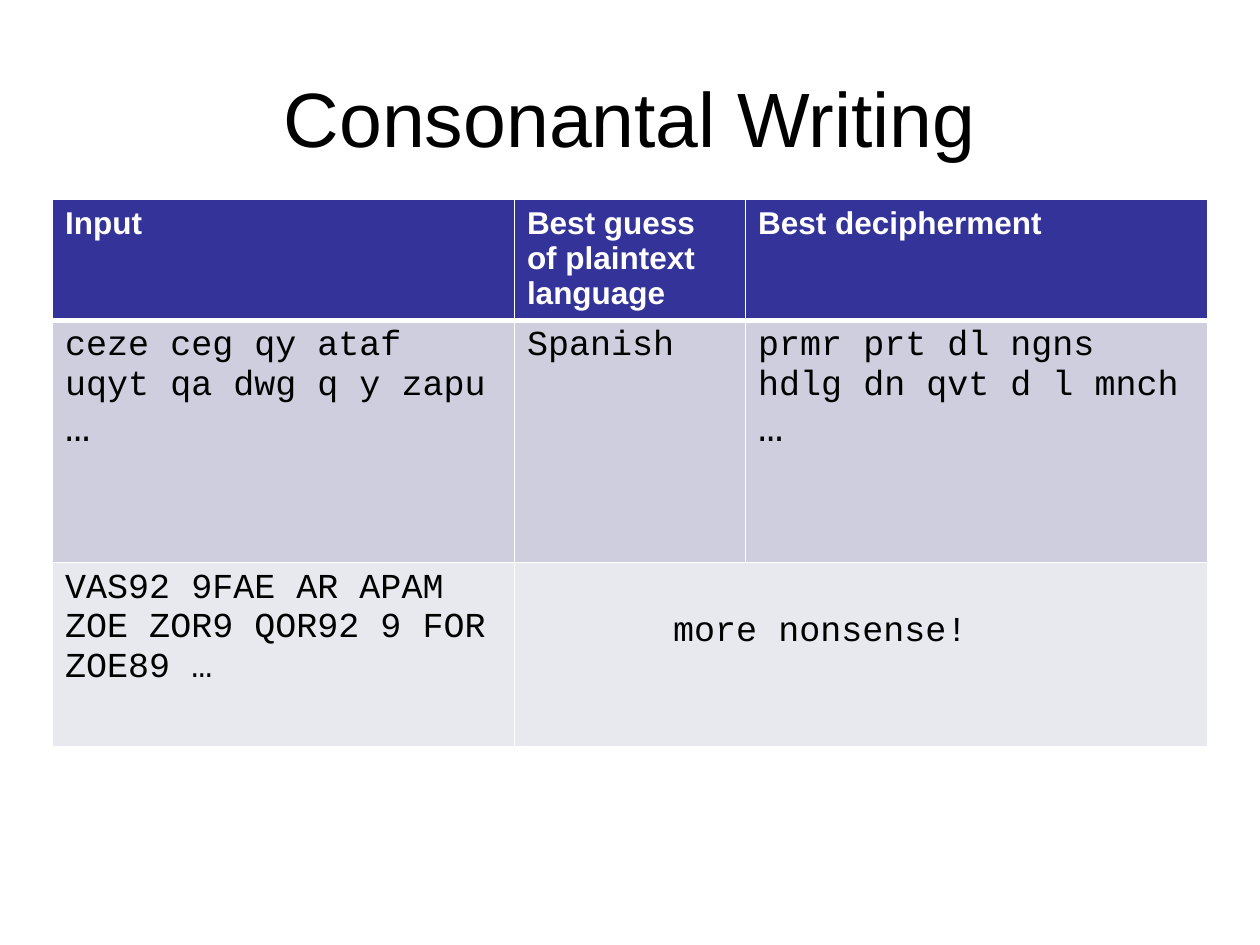
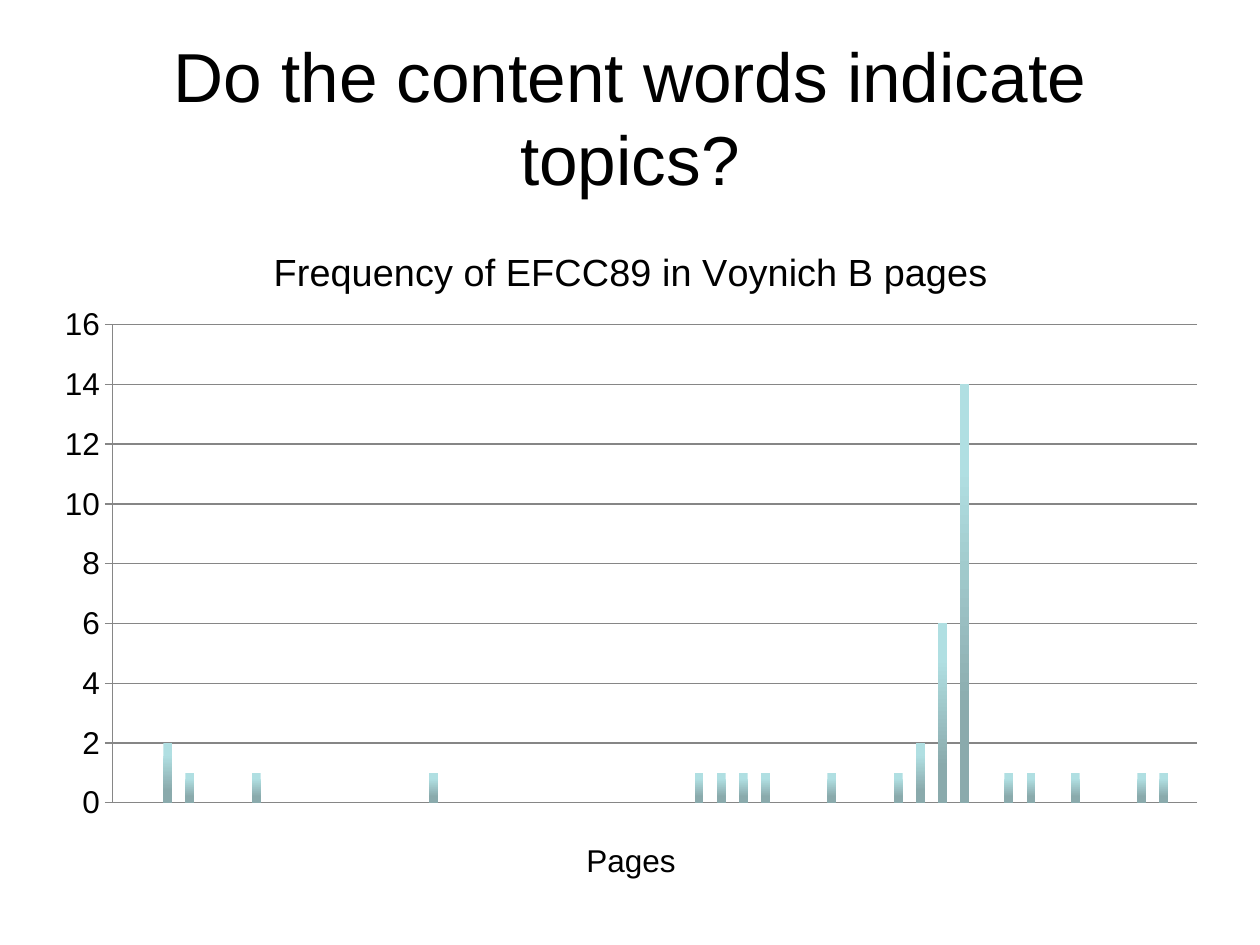
from lxml import etree
from pptx import Presentation
from pptx.chart.data import CategoryChartData
from pptx.dml.color import RGBColor
from pptx.enum.chart import XL_CHART_TYPE, XL_TICK_LABEL_POSITION, XL_TICK_MARK
from pptx.enum.text import MSO_ANCHOR, MSO_AUTO_SIZE, PP_ALIGN
from pptx.oxml import parse_xml
from pptx.oxml.ns import nsdecls, qn
from pptx.util import Cm, Pt

BLACK = RGBColor(0x00, 0x00, 0x00)
WHITE = RGBColor(0xFF, 0xFF, 0xFF)
INDIGO = RGBColor(0x33, 0x33, 0x99)
LAVENDER = RGBColor(0xCE, 0xCE, 0xDE)
PALE_LAVENDER = RGBColor(0xE8, 0xE8, 0xEF)
GRID_GREY = RGBColor(0x86, 0x86, 0x86)
BAR_LIGHT = RGBColor(0xB0, 0xDF, 0xE2)
BAR_DARK = RGBColor(0x8A, 0xAA, 0xAC)

HEADING = {"size": Pt(44), "name": "Arial", "bold": False}
LONG_HEADING = {**HEADING, "size": Pt(39.6)}
HEADER = {"size": Pt(18), "name": "Arial", "bold": True}
CIPHER = {"size": Pt(20), "name": "Courier New", "bold": False}
ELLIPSIS = {**CIPHER, "size": Pt(24)}
CHART_TEXT = {"size": Pt(18), "name": "Arial", "bold": False}
CHART_HEADING = {**CHART_TEXT, "size": Pt(21.6)}


def style(font, look, color=BLACK):
    for attribute, value in look.items():
        setattr(font, attribute, value)
    font.color.rgb = color


def place(parent, before, **fractions):
    for old in parent.findall(qn("c:layout")):
        parent.remove(old)
    layout = parse_xml(f"<c:layout {nsdecls('c')}><c:manualLayout/></c:layout>")
    for tag, value in fractions.items():
        etree.SubElement(layout[0], qn(f"c:{tag}"), val=str(value))
    before.addprevious(layout)


deck = Presentation()
deck.slide_width, deck.slide_height = Cm(25.4), Cm(19.05)

slides = []
for heading, look in (
    ("Consonantal Writing", HEADING),
    ("Do the content words indicate topics?", LONG_HEADING),
):
    slide = deck.slides.add_slide(deck.slide_layouts[5])
    title = slide.shapes.title
    title.left, title.top, title.width, title.height = Cm(1.27), Cm(0.76), Cm(22.86), Cm(3.18)
    frame = title.text_frame
    frame.text = heading
    frame.word_wrap = True
    frame.auto_size = MSO_AUTO_SIZE.NONE
    frame.vertical_anchor = MSO_ANCHOR.MIDDLE
    frame.paragraphs[0].alignment = PP_ALIGN.CENTER
    style(frame.paragraphs[0].runs[0].font, look)
    slides.append(slide)
writing_slide, topics_slide = slides

decipherments = [
    (INDIGO, WHITE, [
        [("Input", HEADER)],
        [("Best guess of plaintext language", HEADER)],
        [("Best decipherment", HEADER)],
    ]),
    (LAVENDER, BLACK, [
        [("ceze ceg qy ataf uqyt qa dwg q y zapu ", CIPHER), ("…", ELLIPSIS)],
        [("Spanish", CIPHER)],
        [("prmr prt dl ngns hdlg dn qvt d l mnch ", CIPHER), ("…", ELLIPSIS)],
    ]),
    (PALE_LAVENDER, BLACK, [
        [("VAS92 9FAE AR APAM ZOE ZOR9 QOR92 9 FOR ZOE89 …", CIPHER)],
        [("more nonsense!", CIPHER)],
        [],
    ]),
]
table = writing_slide.shapes.add_table(3, 3, Cm(1.06), Cm(4.02), Cm(23.28), Cm(11.03)).table
for column, width in zip(table.columns, (9.31, 4.66, 9.31)):
    column.width = Cm(width)
for row, height in zip(table.rows, (2.44, 4.88, 3.71)):
    row.height = Cm(height)

for row_index, (fill, color, texts) in enumerate(decipherments):
    for column_index, runs in enumerate(texts):
        cell = table.cell(row_index, column_index)
        cell.fill.solid()
        cell.fill.fore_color.rgb = fill
        for text, look in runs:
            run = cell.text_frame.paragraphs[0].add_run()
            run.text = text
            style(run.font, look, color)
        widths = {
            "lnL": 1,
            "lnR": 1,
            "lnT": 3 if row_index == 1 else 1,
            "lnB": 3 if row_index == 0 else 1,
        }
        for position, (side, width) in enumerate(widths.items()):
            cell._tc.get_or_add_tcPr().insert(position, parse_xml(
                f'<a:{side} {nsdecls("a")} w="{Pt(width)}"><a:solidFill>'
                f'<a:srgbClr val="{WHITE}"/></a:solidFill></a:{side}>'
            ))

nonsense = table.cell(2, 1)
nonsense.merge(table.cell(2, 2))
nonsense.margin_left, nonsense.margin_top = Cm(3.2), Cm(1)

page_counts = [
    0, 0, 2, 1, 0, 0, 1, 0, 0, 0, 0, 0, 0, 0, 1, 0, 0, 0, 0, 0, 0, 0, 0, 0, 0,
    0, 1, 1, 1, 1, 0, 0, 1, 0, 0, 1, 2, 6, 14, 0, 1, 1, 0, 1, 0, 0, 1, 1, 0,
]
frequencies = CategoryChartData()
frequencies.categories = [str(page) for page in range(1, len(page_counts) + 1)]
frequencies.add_series("Series 1", page_counts)
chart = topics_slide.shapes.add_chart(
    XL_CHART_TYPE.COLUMN_CLUSTERED, Cm(0.84), Cm(4.45), Cm(23.77), Cm(13.97), frequencies
).chart
chart.has_legend = False
style(chart.font, CHART_TEXT)

pages, counts = chart.category_axis, chart.value_axis
for owner, text, look, x, y in (
    (chart, "Frequency of EFCC89 in Voynich B pages", CHART_HEADING, 0.2, 0.04),
    (pages, "Pages", CHART_TEXT, 0.46, 0.9),
):
    owner.has_title = True
    caption = owner.chart_title if owner is chart else owner.axis_title
    paragraph = caption.text_frame.paragraphs[0]
    paragraph.text = text
    style(paragraph.runs[0].font, look)
    overlay = caption._element.get_or_add_tx()
    place(caption._element, overlay.getnext(), xMode="edge", yMode="edge", x=x, y=y)

pages.visible = False
pages.tick_label_position = XL_TICK_LABEL_POSITION.NONE
counts.minimum_scale, counts.maximum_scale, counts.major_unit = 0, 16, 2
counts.major_tick_mark = XL_TICK_MARK.OUTSIDE
counts.minor_tick_mark = XL_TICK_MARK.NONE
counts.has_major_gridlines = True
for line in (counts.format.line, counts.major_gridlines.format.line):
    line.color.rgb = GRID_GREY
    line.width = Pt(0.75)

plot = chart.plots[0]
plot.gap_width = 150
plot.vary_by_categories = False
bar_fill = plot.series[0].format.fill
bar_fill.gradient()
bar_fill.gradient_angle = 270
for stop, color, position in zip(bar_fill.gradient_stops, (BAR_LIGHT, BAR_DARK), (0.2, 0.8)):
    stop.color.rgb = color
    stop.position = position
plot_area = plot._element.getparent()
place(plot_area, plot._element, layoutTarget="inner", xMode="edge", yMode="edge",
      x=0.06, y=0.15, w=0.92, h=0.69)

deck.save("out.pptx")
